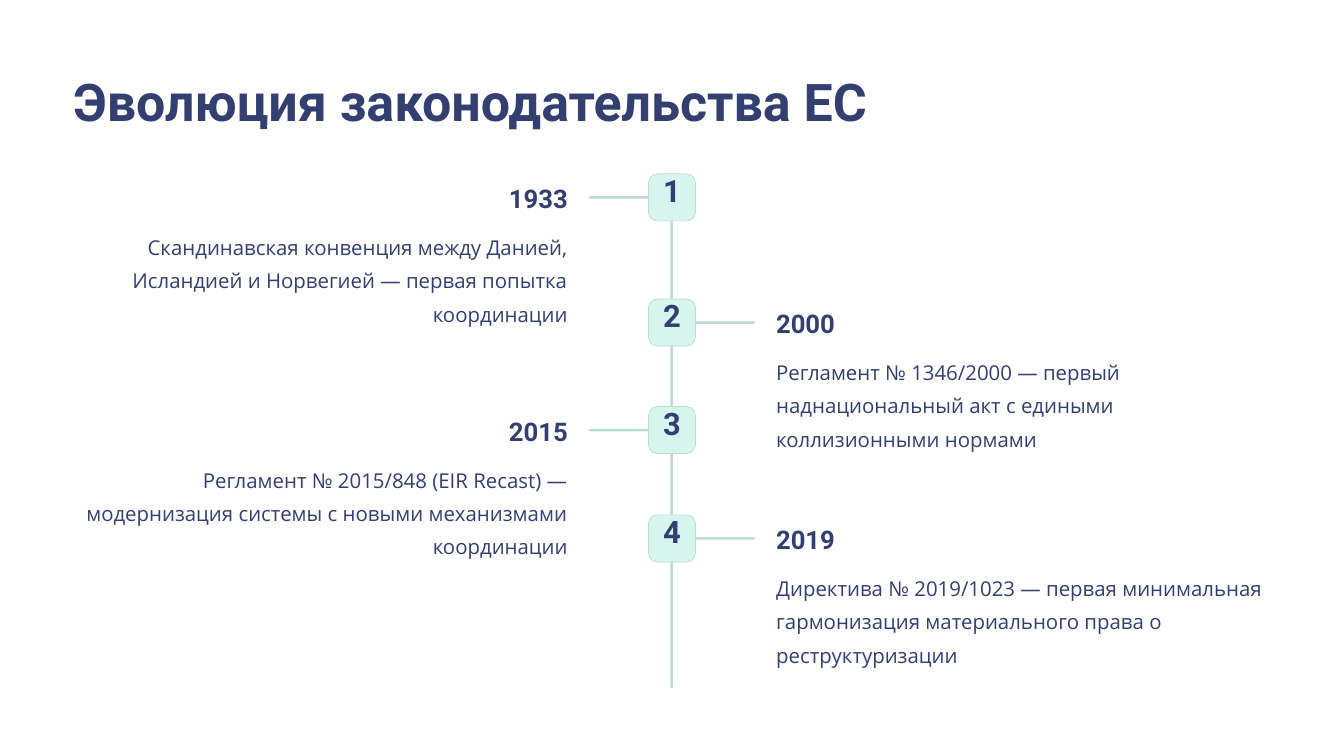
from pptx import Presentation
from pptx.dml.color import RGBColor
from pptx.enum import shapes, text
from pptx.util import Inches, Pt

NAVY, MINT, LINE = "333F70", "D6F5EE", "BCDBD4"
ALIGN = text.PP_ALIGN
EVENTS = [
    (2.07, "1933", "Скандинавская конвенция между Данией, Исландией и Норвегией — первая попытка координации"),
    (3.56, "2000", "Регламент № 1346/2000 — первый наднациональный акт с едиными коллизионными нормами"),
    (4.84, "2015", "Регламент № 2015/848 (EIR Recast) — модернизация системы с новыми механизмами координации"),
    (6.13, "2019", "Директива № 2019/1023 — первая минимальная гармонизация материального права о реструктуризации"),
]


def color(value):
    return RGBColor.from_string(value)


def write(sp, content, size, spacing, align=ALIGN.LEFT, font="Roboto", bold=True, top=0):
    tf = sp.text_frame
    tf.text = content
    tf.word_wrap = True
    tf.auto_size = text.MSO_AUTO_SIZE.NONE
    tf.vertical_anchor = text.MSO_ANCHOR.TOP
    tf.margin_left = tf.margin_right = tf.margin_bottom = 0
    tf.margin_top = Inches(top)
    p = tf.paragraphs[0]
    p.alignment = align
    p.line_spacing = Pt(spacing)
    p.space_before = Pt(0)
    f = p.runs[0].font
    f.name, f.size, f.bold = font, Pt(size), bold
    f.color.rgb = color(NAVY)


def add_title(s, content):
    sp = s.shapes.title
    sp.left, sp.top, sp.width, sp.height = map(Inches, (0.87, 0.8, 13.17, 0.78))
    write(sp, content, 44.5, 55.5)


def add_label(s, box, content, *style, **options):
    write(s.shapes.add_textbox(*map(Inches, box)), content, *style, **options)


def add_block(s, box, fill, radius):
    sp = s.shapes.add_shape(shapes.MSO_SHAPE.ROUNDED_RECTANGLE, *map(Inches, box))
    sp.adjustments[0] = radius
    sp.shadow.inherit = False
    sp.fill.solid()
    sp.fill.fore_color.rgb = color(fill)
    sp.line.fill.background()
    return sp


def add_badge(s, top, number):
    sp = add_block(s, (7.72, top, 0.56, 0.56), MINT, 0.187)
    sp.line.color.rgb = color(LINE)
    sp.line.width = Pt(0.6)
    write(sp, str(number), 26.5, 26.5, ALIGN.CENTER, top=0.02)


def add_event(s, number, top, year, description):
    on_left = number % 2 == 1
    branch, year_left, body_left, align = (
        (7.01, 3.66, 0.87, ALIGN.RIGHT) if on_left else (8.25, 9.24, 9.24, ALIGN.LEFT))
    add_block(s, (branch, top + 0.265, 0.74, 0.03), LINE, 0.5)
    add_badge(s, top, number)
    add_label(s, (year_left, top + 0.09, 3.1, 0.39), year, 22, 27.5, align)
    add_label(s, (body_left, top + 0.625, 5.89, 1.19), description, 17.5, 28.5, align,
              font="Open Sans", bold=False)


def main():
    prs = Presentation()
    prs.slide_width, prs.slide_height = Inches(16), Inches(9)
    s = prs.slides.add_slide(prs.slide_layouts[5])
    add_title(s, "Эволюция законодательства ЕС")
    add_block(s, (7.98, 2.07, 0.03, 6.12), LINE, 0.5)
    for number, event in enumerate(EVENTS, 1):
        add_event(s, number, *event)
    prs.save("out.pptx")


if __name__ == "__main__":
    main()
